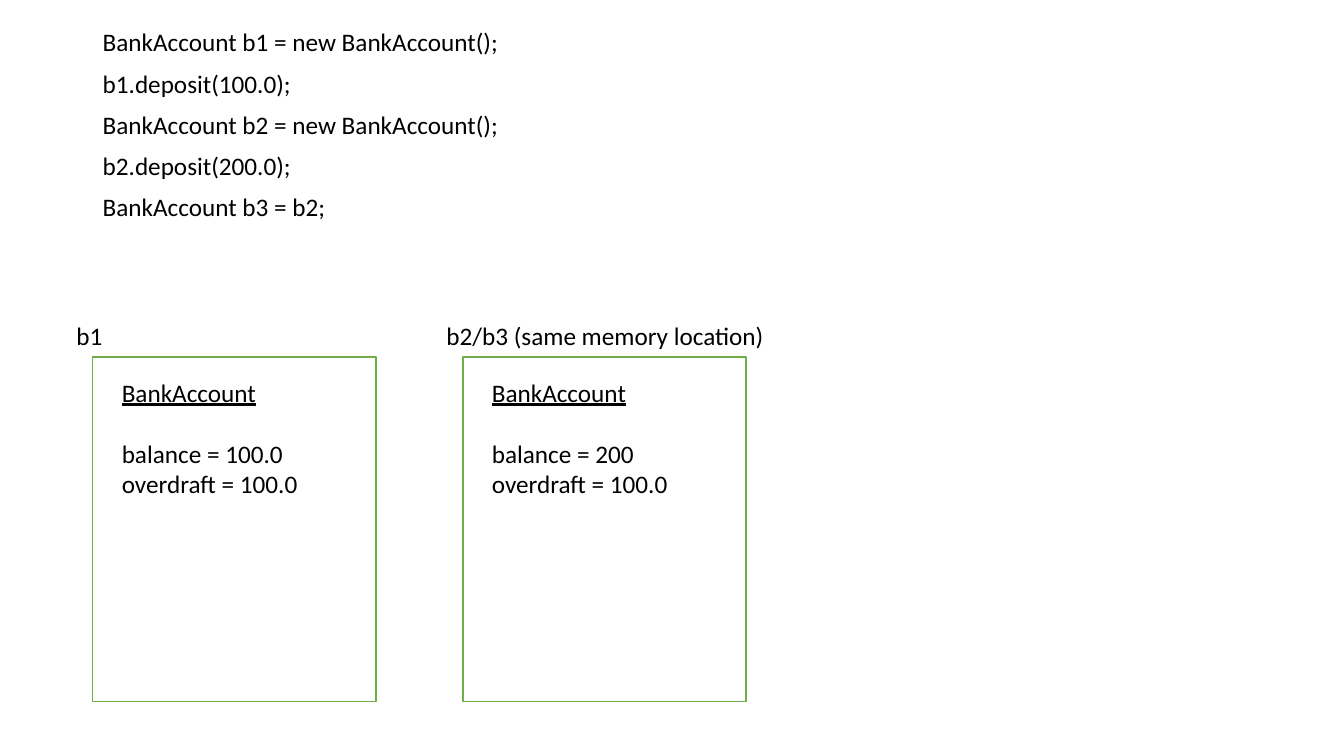
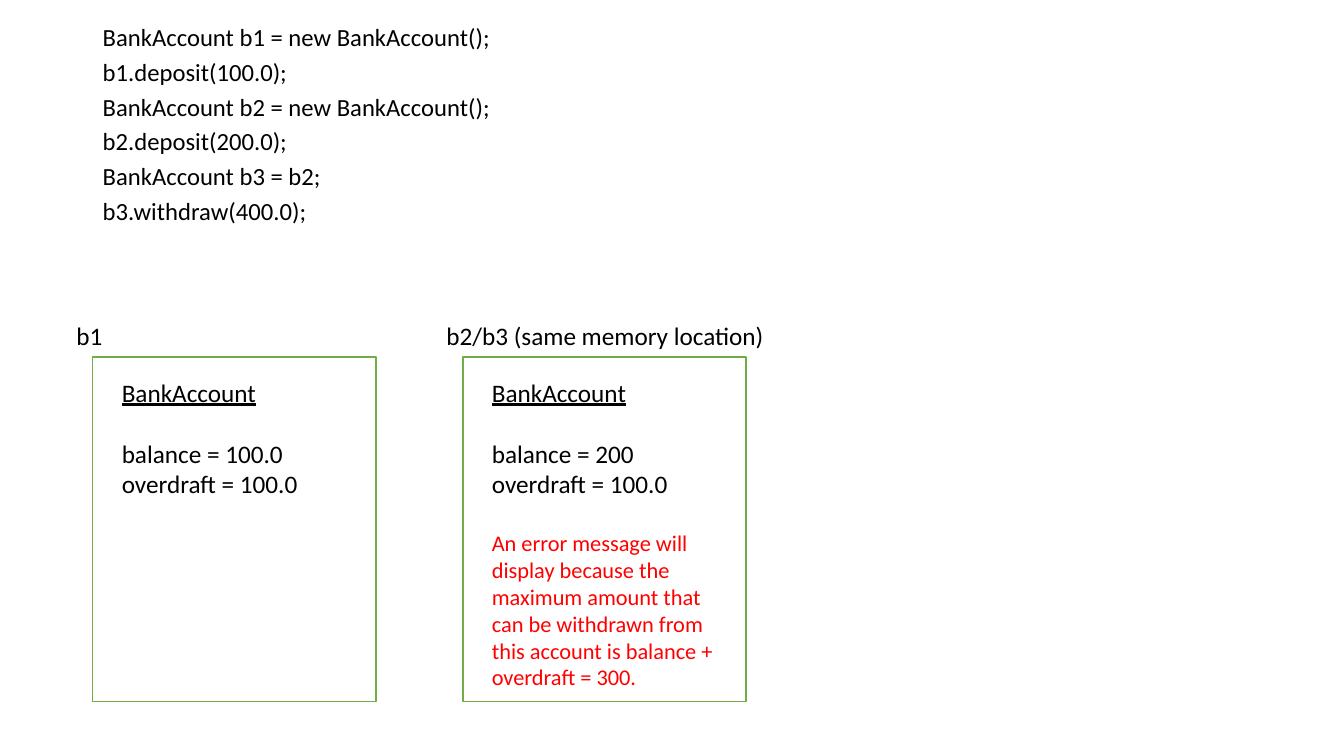
from pptx import Presentation
from pptx.dml.color import RGBColor
from pptx.enum import shapes
from pptx.util import Inches, Pt

COLORS = {"text": "000000", "error": "FF0000", "card": "FFFFFF", "border": "70AD47"}
FONT = "Calibri"
BLANK_LINE = 22

deck = Presentation()
deck.slide_width = Inches(13.33)
deck.slide_height = Inches(7.5)


def add_text(slide, lines, left, top, width, height, size=18, spacing=1.0, before=0):
    frame = slide.shapes.add_textbox(
        Inches(left), Inches(top), Inches(width), Inches(height)).text_frame
    frame.word_wrap = True
    for index, (words, style) in enumerate(lines):
        paragraph = frame.paragraphs[0] if index == 0 else frame.add_paragraph()
        paragraph.line_spacing = spacing
        paragraph.space_before = Pt(style.get("before", before))
        run = paragraph.add_run()
        run.text = words
        run.font.name = FONT
        run.font.size = Pt(style.get("size", size))
        run.font.underline = style.get("underline", False)
        run.font.color.rgb = RGBColor.from_string(COLORS[style.get("color", "text")])


setup_code = [
    "BankAccount b1 = new BankAccount();",
    "b1.deposit(100.0);",
    "BankAccount b2 = new BankAccount();",
    "b2.deposit(200.0);",
    "BankAccount b3 = b2;",
]
overdraft_error = ("An error message will display because the maximum amount that can be "
                   "withdrawn from this account is balance + overdraft = 300.")
error_line = (overdraft_error, {"size": 16, "color": "error", "before": BLANK_LINE})

steps = [
    {"code": setup_code, "size": 18, "spacing": 0.9, "b2_extra": []},
    {"code": setup_code + ["b3.withdraw(400.0);"], "size": 17.6, "spacing": 0.7,
     "b2_extra": [error_line]},
]

for step in steps:
    slide = deck.slides.add_slide(deck.slide_layouts[6])
    add_text(slide, [(line, {}) for line in step["code"]], 0.92, 0.25, 7.55, 2.45,
             size=step["size"], spacing=step["spacing"], before=10)

    accounts = [
        ("b1", 0.88, "100.0", []),
        ("b2/b3 (same memory location)", 3.85, "200", step["b2_extra"]),
    ]
    for column, (label, label_width, balance, extra) in enumerate(accounts):
        left = 0.92 + 3.67 * column
        card = slide.shapes.add_shape(
            shapes.MSO_SHAPE.RECTANGLE, Inches(left), Inches(3.54), Inches(2.81), Inches(3.42))
        card.shadow.inherit = False
        card.fill.solid()
        card.fill.fore_color.rgb = RGBColor.from_string(COLORS["card"])
        card.line.color.rgb = RGBColor.from_string(COLORS["border"])
        card.line.width = Pt(1)

        fields = [
            ("BankAccount", {"underline": True}),
            (f"balance = {balance}", {"before": BLANK_LINE}),
            ("overdraft = 100.0", {}),
        ]
        add_text(slide, fields + extra, left + 0.19, 3.69, 2.43, 3.27 if extra else 2.83)
        add_text(slide, [(label, {})], left - 0.26, 3.13, label_width, 0.4)

deck.save("out.pptx")
